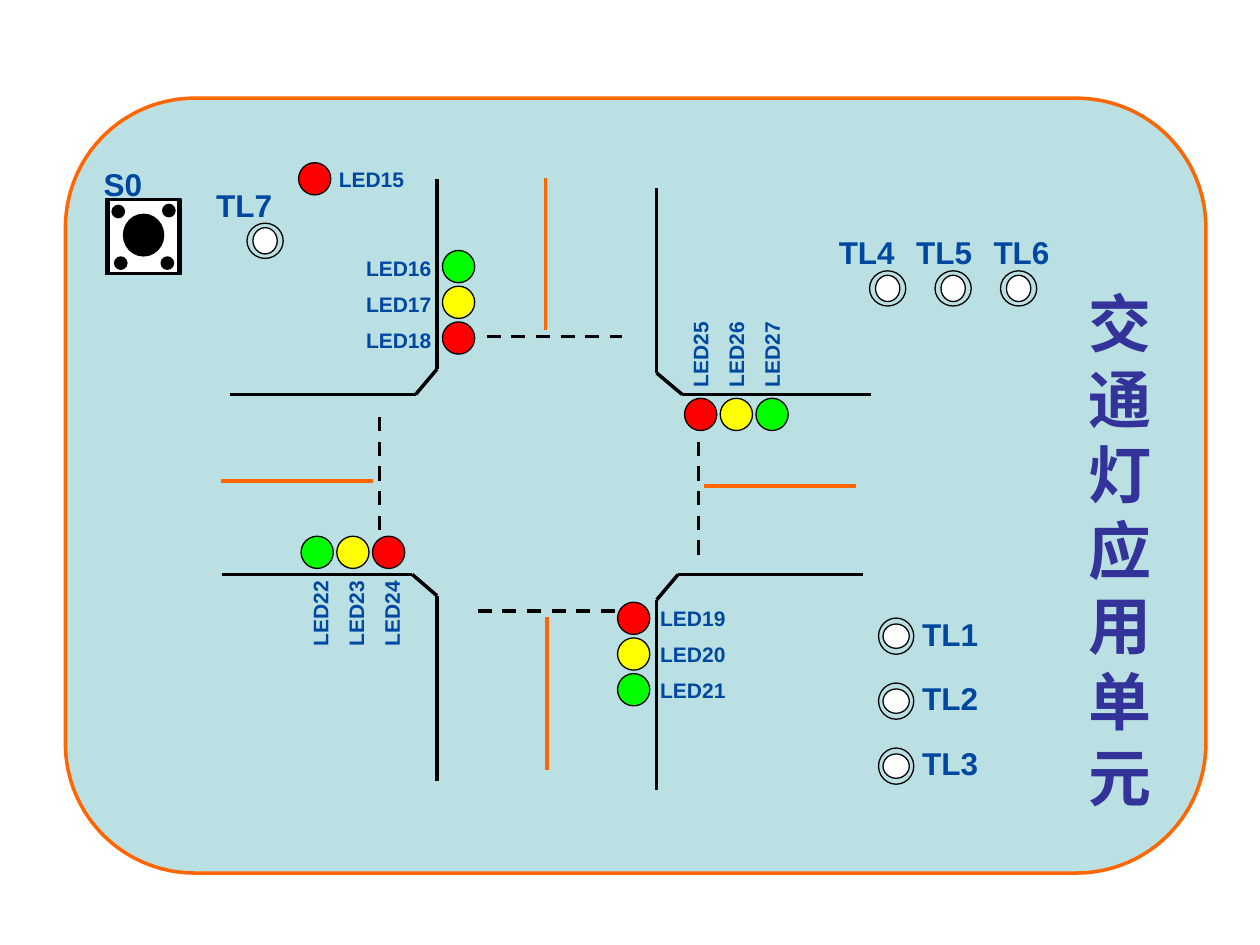
import itertools

import pptx
import pptx.dml.color
import pptx.enum.dml
import pptx.enum.shapes
import pptx.enum.text
import pptx.oxml
import pptx.oxml.ns
import pptx.util

COLOURS = {
    "board": "BBE0E3",
    "orange": "FF6600",
    "black": "000000",
    "white": "FFFFFF",
    "red": "FF0000",
    "yellow": "FFFF00",
    "green": "00FF00",
    "label": "0047A0",
    "title": "333399",
}
Cm = pptx.util.Cm
SHAPES = pptx.enum.shapes.MSO_SHAPE
LAMP = 0.65


def colour(name):
    """Return the named colour."""
    return pptx.dml.color.RGBColor.from_string(COLOURS[name])


def add_figure(page, kind, left, top, width, height, fill, line="black", weight=0.75):
    """Add a filled and outlined preset shape."""
    figure = page.shapes.add_shape(kind, Cm(left), Cm(top), Cm(width), Cm(height))
    figure.shadow.inherit = False
    figure.fill.solid()
    figure.fill.fore_color.rgb = colour(fill)
    figure.line.color.rgb = colour(line)
    figure.line.width = pptx.util.Pt(weight)
    return figure


def add_line(page, start, end, ink="black", dashed=False):
    """Add a straight line between two points."""
    line = page.shapes.add_connector(
        pptx.enum.shapes.MSO_CONNECTOR.STRAIGHT, *(Cm(value) for value in start + end)
    )
    line.line.color.rgb = colour(ink)
    line.line.width = pptx.util.Pt(2)
    if dashed:
        line.line.dash_style = pptx.enum.dml.MSO_LINE.DASH
    properties = line._element.spPr
    properties.append(pptx.oxml.parse_xml(f'<a:effectLst {pptx.oxml.ns.nsdecls("a")}/>'))


def add_text(page, text, left, top, width, height, size=12, ink="label", align="LEFT", turn=0):
    """Add a bold text box with one paragraph for each line of text."""
    box = page.shapes.add_textbox(Cm(left), Cm(top), Cm(width), Cm(height))
    box.rotation = turn
    frame = box.text_frame
    frame.word_wrap = False
    frame.auto_size = pptx.enum.text.MSO_AUTO_SIZE.SHAPE_TO_FIT_TEXT
    frame.text = text
    for para in frame.paragraphs:
        para.alignment = pptx.enum.text.PP_ALIGN[align]
        for span in para.runs:
            span.font.name = "Arial"
            span.font.size = pptx.util.Pt(size)
            span.font.bold = True
            span.font.color.rgb = colour(ink)


def add_crossing(page, left, top):
    """Draw the kerbs, centre lines and stop lines of the crossing."""
    kerbs = [
        [(4.36, 0.03), (4.36, 3.86), (3.93, 4.37), (0.18, 4.37)],
        [(0.03, 8), (3.86, 8), (4.36, 8.43), (4.36, 12.17)],
        [(13.11, 4.37), (9.3, 4.37), (8.79, 3.94), (8.79, 0.2)],
        [(8.79, 12.34), (8.79, 8.51), (9.22, 8), (12.95, 8)],
    ]
    centre_lines = [
        [(0, 6.12), (3.07, 6.12)],
        [(9.75, 6.22), (12.8, 6.22)],
        [(6.58, 11.94), (6.58, 8.86)],
        [(6.55, 3.07), (6.55, 0)],
    ]
    stop_lines = [
        [(3.2, 4.83), (3.2, 7.29)],
        [(9.63, 4.83), (9.63, 7.72)],
        [(5.36, 3.2), (8.08, 3.2)],
        [(5.18, 8.74), (8.08, 8.74)],
    ]
    groups = [(kerbs, "black", False), (centre_lines, "orange", False), (stop_lines, "black", True)]
    for routes, ink, dashed in groups:
        for route in routes:
            points = [(left + x, top + y) for x, y in route]
            for start, end in itertools.pairwise(points):
                add_line(page, start, end, ink, dashed)


def add_signal(page, left, top, first, lamps, label_offset, across=False, turn=0):
    """Draw a row or column of lamps with numbered labels."""
    for index, lamp in enumerate(lamps):
        x = left + 0.72 * index * across
        y = top + 0.72 * index * (not across)
        add_figure(page, SHAPES.OVAL, x, y, LAMP, LAMP, lamp)
        add_text(page, f"LED{first + index}", x + label_offset[0], y + label_offset[1],
                 1.83, 0.76, turn=turn)


def add_terminals(page, left, top, names, label_offset, step=(0, 0), label_step=(0, 0), turn=0):
    """Draw evenly spaced ring terminals with their labels."""
    for index, name in enumerate(names):
        x, y = left + step[0] * index, top + step[1] * index
        for inset_x, inset_y, fill in [(0, 0, "board"), (0.12, 0.09, "white")]:
            ring = add_figure(page, SHAPES.OVAL, x + inset_x, y + inset_y,
                              0.73 - 2 * inset_x, 0.71 - 2 * inset_y, fill)
            ring.rotation = turn
        add_text(page, name, left + label_offset[0] + label_step[0] * index,
                 top + label_offset[1] + label_step[1] * index, 1.63, 1.02, size=18)


def add_button(page, left, top):
    """Draw the push button with its label."""
    add_figure(page, SHAPES.RECTANGLE, left, top, 1.52, 1.52, "black")
    add_figure(page, SHAPES.RECTANGLE, left + 0.08, top + 0.03, 1.37, 1.45, "white")
    add_figure(page, SHAPES.OVAL, left + 0.36, top + 0.31, 0.81, 0.84, "black")
    for x, y in [(0.13, 0.13), (1.15, 0.11), (0.18, 1.17), (1.12, 1.17)]:
        add_figure(page, SHAPES.OVAL, left + x, top + y, 0.25, 0.25, "black")
    add_text(page, "S0", left - 0.29, top - 0.81, 1.35, 1.02, size=18)


def add_board(page, left, top, width, height):
    """Draw the traffic light board and all its parts."""
    panel = add_figure(page, SHAPES.ROUNDED_RECTANGLE, left, top, width, height,
                       "board", "orange", 2)
    panel.adjustments[0] = 0.167
    add_crossing(page, left + 3.13, top + 1.6)

    outward = ["green", "yellow", "red"]
    inward = outward[::-1]
    add_signal(page, left + 4.7, top + 1.3, 15, ["red"], (0.56, -0.05))
    add_signal(page, left + 7.6, top + 3.07, 16, outward, (-1.79, -0.02))
    add_signal(page, left + 11.13, top + 10.16, 19, inward, (0.61, -0.05))
    add_signal(page, left + 4.75, top + 8.83, 22, outward, (-0.53, 1.18), across=True, turn=270)
    add_signal(page, left + 12.48, top + 6.05, 25, inward, (-0.6, -1.27), across=True, turn=270)

    add_terminals(page, left + 16.21, top + 3.48, ["TL4", "TL5", "TL6"], (-0.87, -0.89),
                  step=(1.32, 0), label_step=(1.56, 0))
    add_terminals(page, left + 16.38, top + 10.49, ["TL1", "TL2", "TL3"], (0.64, -0.2),
                  step=(0, 1.31), label_step=(0, 1.3), turn=90)
    add_terminals(page, left + 3.66, top + 2.52, ["TL7"], (-0.87, -0.87))
    add_button(page, left + 0.81, top + 2.03)
    add_text(page, "\n".join("交通灯应用单元"), left + 20.37, top + 3.63, 1.78, 10.92,
             size=36, ink="title", align="CENTER")


def main():
    """Build and save the deck."""
    deck = pptx.Presentation()
    deck.slide_width, deck.slide_height = Cm(25.4), Cm(19.05)
    page = deck.slides.add_slide(deck.slide_layouts[6])
    add_board(page, 1.32, 1.98, 22.99, 15.62)
    deck.save("out.pptx")


if __name__ == "__main__":
    main()
